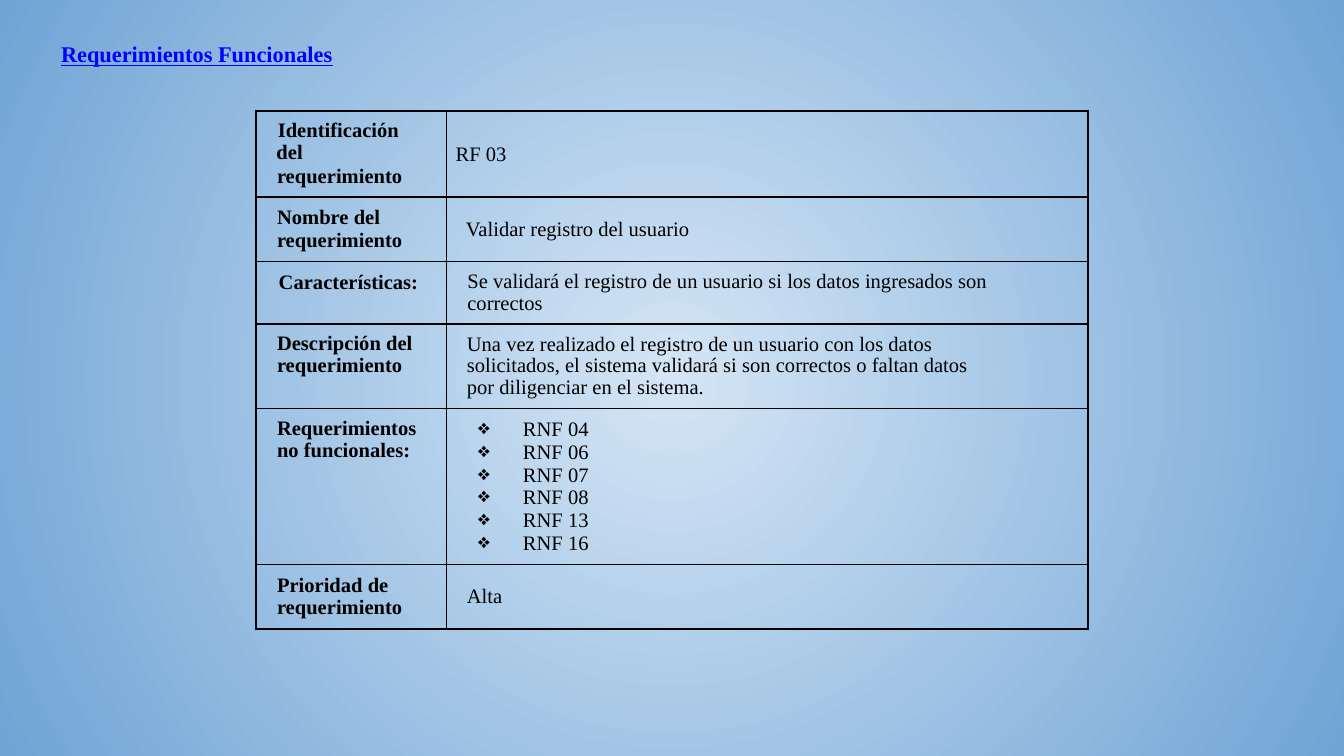
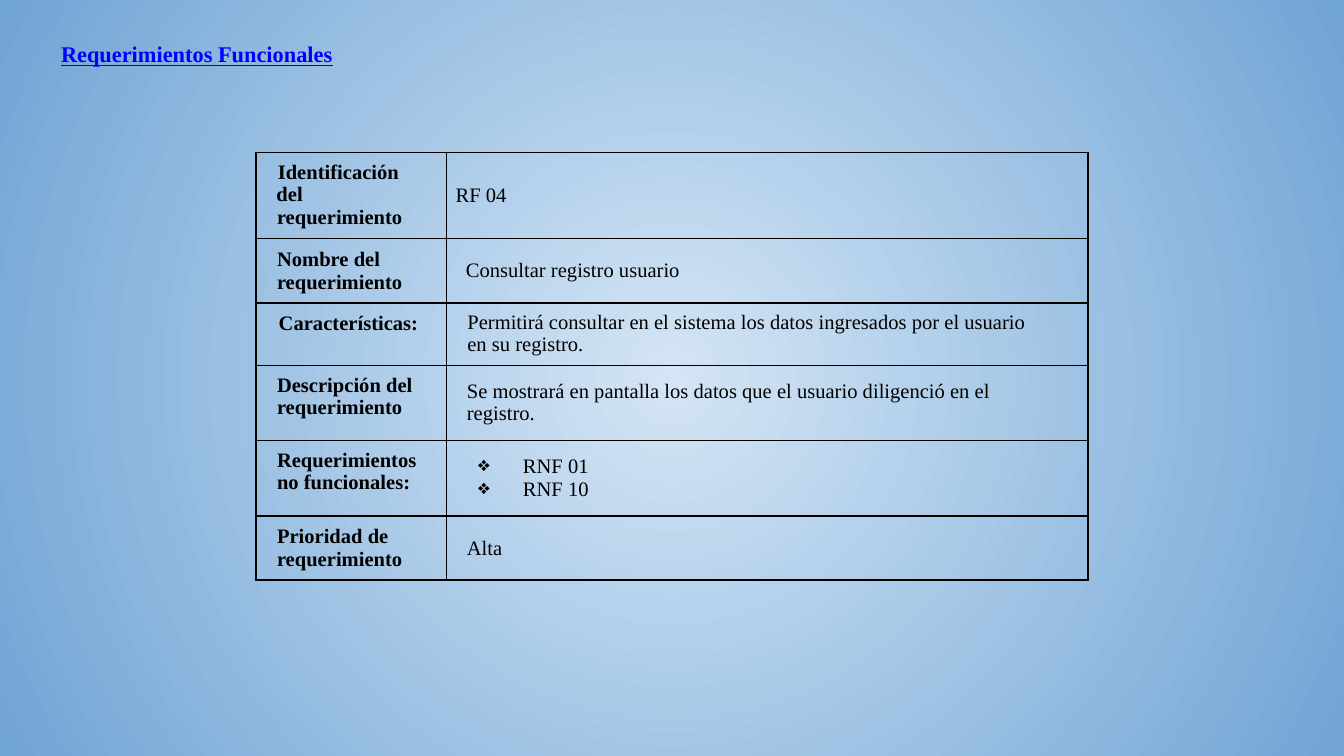
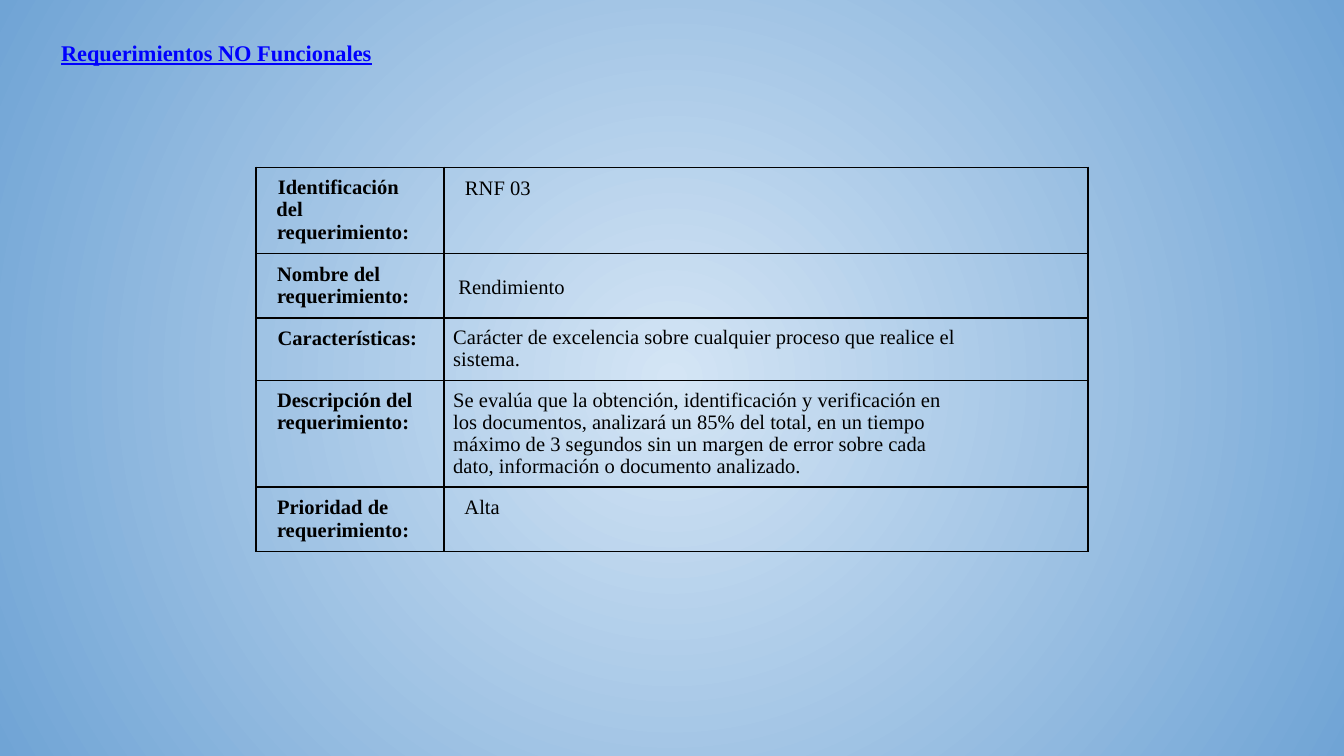
import pptx
import pptx.util
import pptx.dml.color
import pptx.enum.text
import pptx.oxml
import pptx.oxml.ns
import lxml.etree

Pt = pptx.util.Pt
Anchor = pptx.enum.text.MSO_ANCHOR
Align = pptx.enum.text.PP_ALIGN

COLORS = {"center": "D4E5F5", "edge": "70A4D5", "title": "0000FF", "ink": "000000"}
FONT = "Times New Roman"
BULLET = "❖"
TABLE_LEFT, TABLE_WIDTH = 137.1, 445.7
INSET = 5

ID, NAME, TRAITS, DETAIL, RELATED, PRIORITY = range(6)
LABELS = {
    ID: ["Identificación del ", "requerimiento"],
    NAME: ["Nombre del ", "requerimiento"],
    TRAITS: ["Características: "],
    DETAIL: ["Descripción del requerimiento"],
    RELATED: ["Requerimientos no funcionales:"],
    PRIORITY: ["Prioridad de ", "requerimiento"],
}
LABEL_STYLES = {
    ID: dict(left=6, indent=0.7, right=12, spacing=0.96),
    TRAITS: dict(left=0, align=Align.CENTER),
    DETAIL: dict(spacing=0.96),
    RELATED: dict(spacing=0.96),
}
VALUE_STYLES = {
    ID: dict(left=0),
    NAME: dict(left=5.5),
    TRAITS: dict(left=6.3, right=23, spacing=0.96),
    DETAIL: dict(left=6, right=46, spacing=0.96),
    RELATED: dict(left=36, indent=-24, bullet=True),
    PRIORITY: dict(left=6),
}
QUALITY_STYLES = {
    ID: dict(left=6.3, anchor=Anchor.TOP),
    NAME: dict(left=2.75, spacing=1.15),
    TRAITS: dict(left=0, right=46, spacing=0.96, anchor=Anchor.TOP),
    DETAIL: dict(left=0, right=67, spacing=0.96),
    PRIORITY: dict(left=6, anchor=Anchor.TOP),
}
FUNCTIONAL = dict(
    title="Requerimientos Funcionales", title_top=14.4, label_width=102,
    heights=[40.3, 28.8, 28.8, 40.3, 40.3, 28.8], styles=VALUE_STYLES, ending="",
)
QUALITY = dict(
    title="Requerimientos NO Funcionales", title_top=13.7, label_width=100.7,
    heights=[43.2, 28, 28, 28, 28], styles=QUALITY_STYLES, ending=":",
)
SLIDES = [
    (FUNCTIONAL, 59.5, {
        ID: ["RF 03"],
        NAME: ["Validar registro del usuario"],
        TRAITS: ["Se validará el registro de un usuario si los datos ingresados son correctos"],
        DETAIL: ["Una vez realizado el registro de un usuario con los datos solicitados, "
                 "el sistema validará si son correctos o faltan datos por diligenciar en el sistema."],
        RELATED: ["RNF 04", "RNF 06", "RNF 07", "RNF 08", "RNF 13", "RNF 16"],
        PRIORITY: ["Alta"],
    }),
    (FUNCTIONAL, 81.7, {
        ID: ["RF 04"],
        NAME: ["Consultar registro usuario"],
        TRAITS: ["Permitirá consultar en el sistema los datos ingresados por el usuario en su registro."],
        DETAIL: ["Se mostrará en pantalla los datos que el usuario diligenció en el registro."],
        RELATED: ["RNF 01", "RNF 10"],
        PRIORITY: ["Alta"],
    }),
    (QUALITY, 89.7, {
        ID: ["RNF 03"],
        NAME: ["Rendimiento"],
        TRAITS: ["Carácter de excelencia sobre cualquier proceso que realice el sistema."],
        DETAIL: ["Se evalúa que la obtención, identificación y verificación en los documentos, "
                 "analizará un 85% del total, en un tiempo máximo de 3 segundos sin un margen de error "
                 "sobre cada dato, información o documento analizado."],
        PRIORITY: ["Alta"],
    }),
]


def rgb(name):
    return pptx.dml.color.RGBColor.from_string(COLORS[name])


def element(text):
    return pptx.oxml.parse_xml(text.replace(" ", f' {pptx.oxml.ns.nsdecls("a")} ', 1))


def set_background(master):
    fill = master.background.fill
    fill.gradient()
    for stop, name in zip(fill.gradient_stops, ("center", "edge")):
        stop.color.rgb = rgb(name)
    linear = master.element.find(".//" + pptx.oxml.ns.qn("p:bg")).find(".//" + pptx.oxml.ns.qn("a:lin"))
    linear.getparent().replace(linear, element(
        '<a:path path="circle"><a:fillToRect l="50000" t="50000" r="50000" b="50000"/></a:path>'))


def style_font(font, size, color, bold):
    font.name, font.size, font.bold = FONT, Pt(size), bold
    font.color.rgb = rgb(color)


def set_indents(para, left, indent=0, right=0):
    props = para._p.get_or_add_pPr()
    for name, value in (("marL", left), ("marR", right), ("indent", indent)):
        props.set(name, str(int(Pt(value))))
    return props


def add_borders(cell):
    props = cell._tc.get_or_add_tcPr()
    for index, side in enumerate("LRTB"):
        props.insert(index, element(
            f'<a:ln{side} w="{int(Pt(1))}"><a:solidFill><a:srgbClr val="{COLORS["ink"]}"/>'
            f'</a:solidFill></a:ln{side}>'))


def fill_cell(cell, lines, bold, anchor=Anchor.MIDDLE, left=6.3, indent=0, right=0,
              spacing=None, align=Align.LEFT, bullet=False):
    cell.fill.background()
    add_borders(cell)
    cell.margin_left = cell.margin_right = cell.margin_top = cell.margin_bottom = Pt(INSET)
    cell.vertical_anchor = anchor
    frame = cell.text_frame
    for index, line in enumerate(lines):
        para = frame.add_paragraph() if index else frame.paragraphs[0]
        para.add_run().text = line
        para.alignment = align
        if index and spacing:
            para.space_before = Pt(0.3)
            props = set_indents(para, 6.3)
        else:
            if spacing:
                para.line_spacing = spacing
            props = set_indents(para, left, indent, right)
        if bullet:
            props.append(element(f'<a:buClr ><a:srgbClr val="{COLORS["ink"]}"/></a:buClr>'))
            props.append(element(f'<a:buChar char="{BULLET}"/>'))
        style_font(para.font, 11, "ink", bold)


def add_title(page, text, top):
    title = page.shapes.title
    title.left, title.top, title.width, title.height = Pt(24.5), Pt(top), Pt(671), Pt(45.4)
    frame = title.text_frame
    frame.text = text
    frame.word_wrap = True
    frame.vertical_anchor = Anchor.TOP
    frame.margin_left = frame.margin_right = frame.margin_top = frame.margin_bottom = Pt(7.2)
    para = frame.paragraphs[0]
    para.alignment = Align.LEFT
    set_indents(para, 1)
    style_font(para.font, 12, "title", True)
    para.font.underline = True


def add_requirement(page, kind, top, values):
    heights = kind["heights"]
    table = page.shapes.add_table(
        len(values), 2, Pt(TABLE_LEFT), Pt(top), Pt(TABLE_WIDTH), Pt(sum(heights))).table
    table.first_row = table.horz_banding = False
    table.columns[0].width = Pt(kind["label_width"])
    table.columns[1].width = Pt(TABLE_WIDTH - kind["label_width"])
    for row, (field, lines) in enumerate(values.items()):
        table.rows[row].height = Pt(heights[row])
        label = list(LABELS[field])
        if label[-1].endswith("requerimiento"):
            label[-1] += kind["ending"]
        fill_cell(table.cell(row, 0), label, True, Anchor.TOP, **LABEL_STYLES.get(field, {}))
        fill_cell(table.cell(row, 1), lines, False, **kind["styles"][field])


deck = pptx.Presentation()
deck.slide_width, deck.slide_height = Pt(720), Pt(405)
set_background(deck.slide_master)
for kind, top, values in SLIDES:
    page = deck.slides.add_slide(deck.slide_layouts[5])
    add_title(page, kind["title"], kind["title_top"])
    add_requirement(page, kind, top, values)
deck.save("out.pptx")
